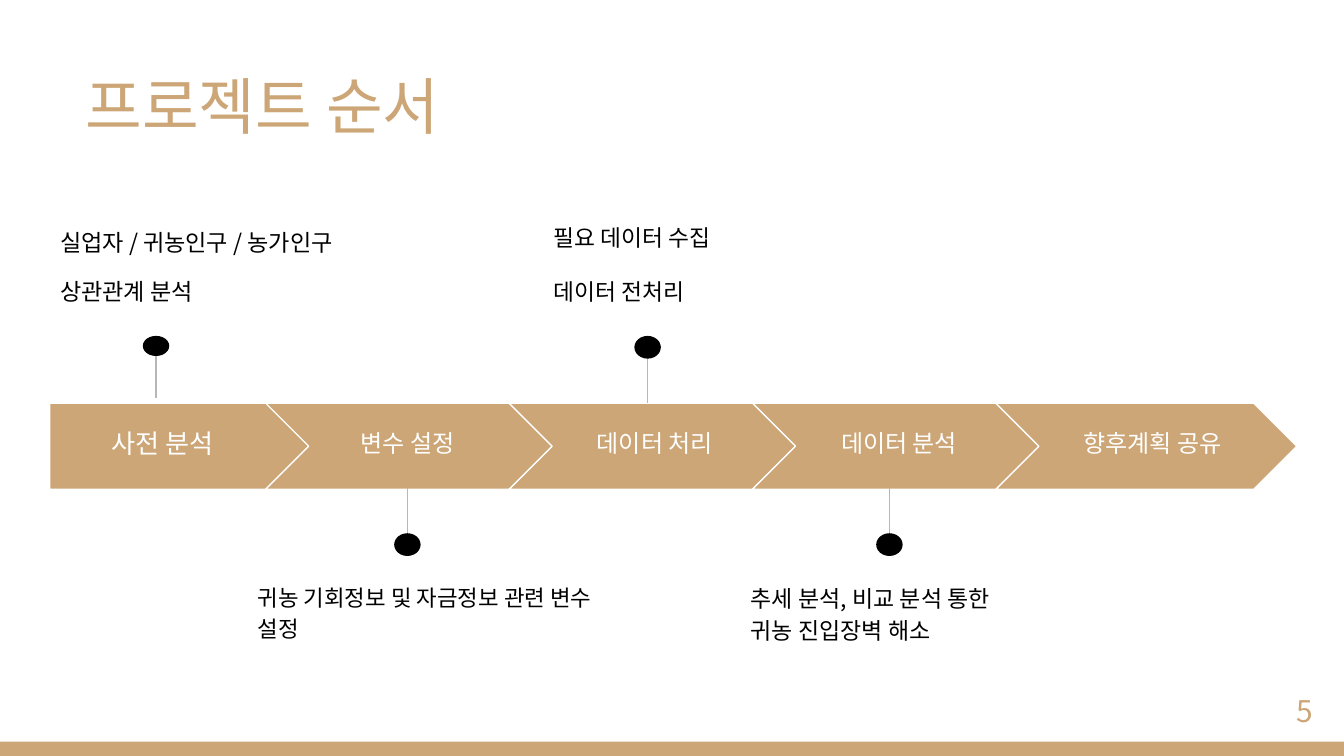
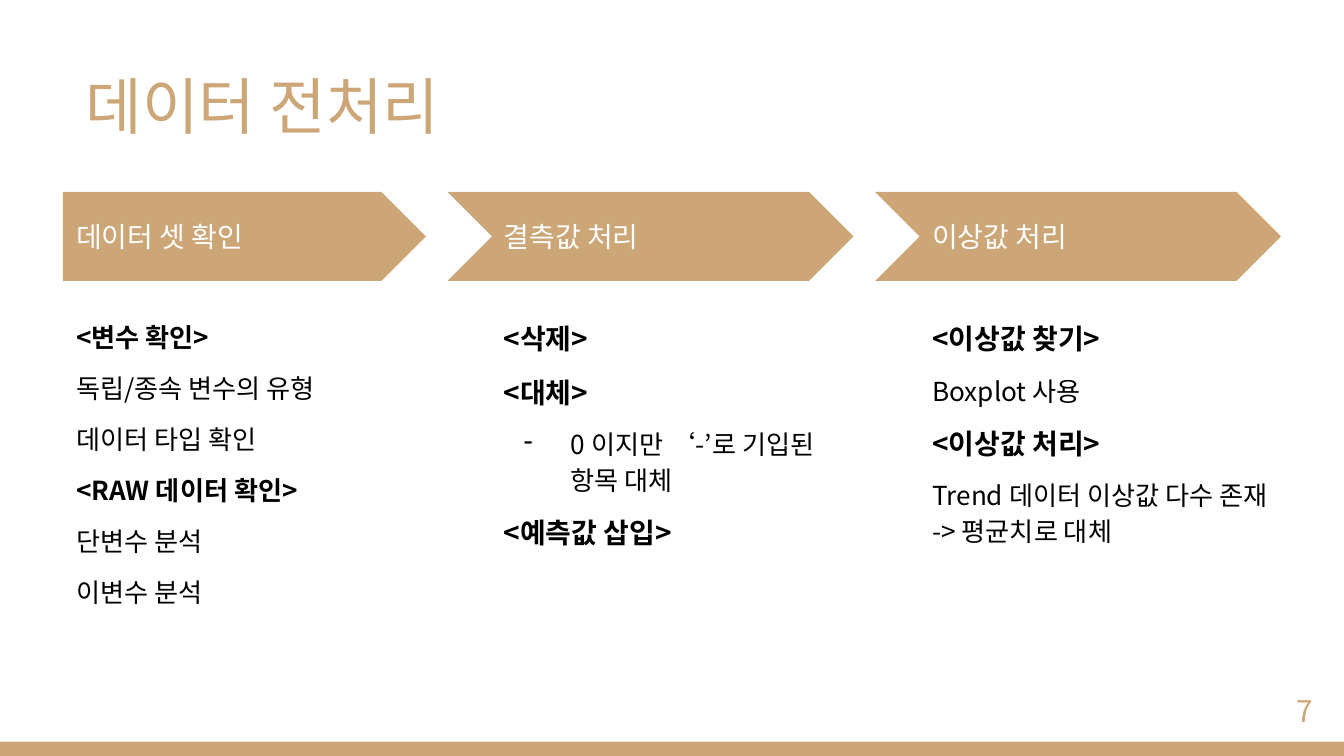
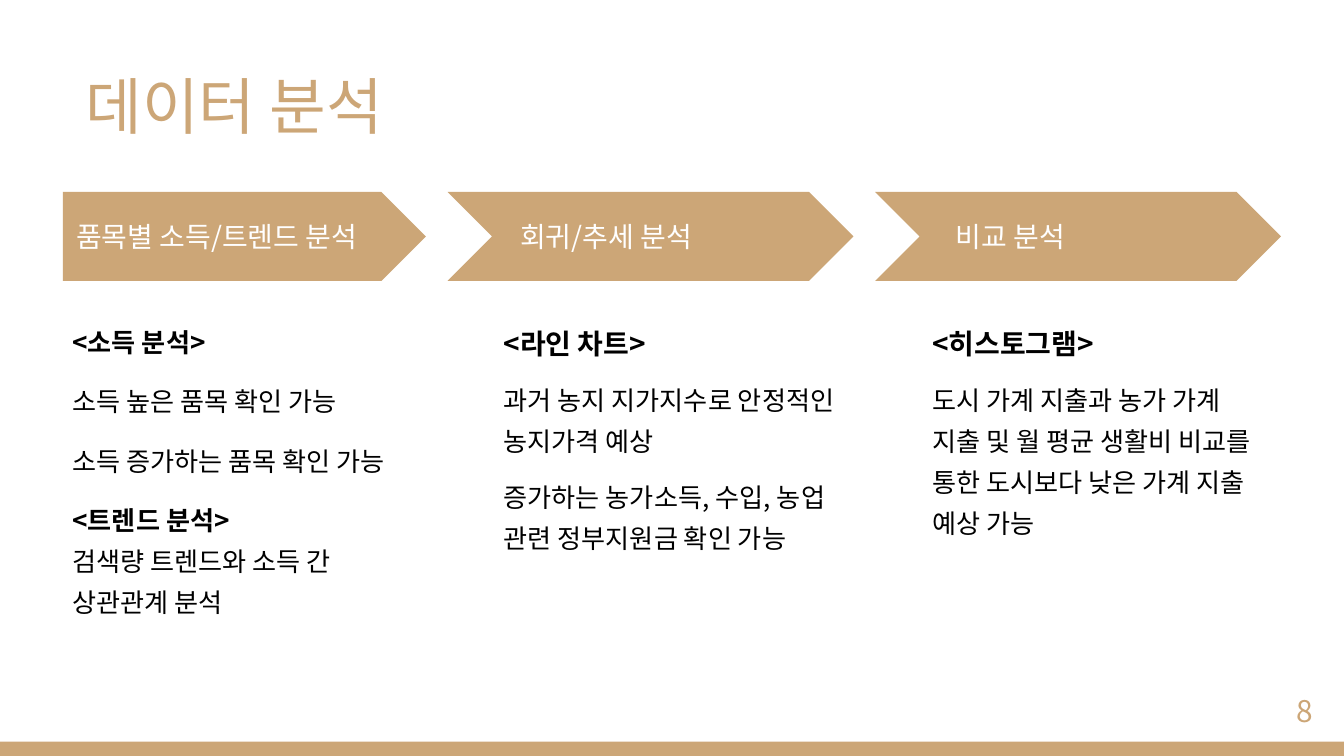
from copy import deepcopy
from dataclasses import dataclass

from lxml.etree import SubElement
from pptx import Presentation
from pptx.dml.color import RGBColor
from pptx.enum.shapes import MSO_CONNECTOR, MSO_SHAPE
from pptx.enum.text import MSO_ANCHOR, PP_ALIGN
from pptx.oxml.ns import qn
from pptx.util import Cm, Pt


@dataclass(frozen=True)
class Theme:
    font: str = "Noto Sans CJK KR"
    gold: str = "CCA677"
    ink: str = "000000"
    paper: str = "FFFFFF"
    rule: str = "B7B7B7"
    title: float = 33
    number: float = 16
    head: float = 15
    body: float = 14
    step: float = 12.9
    hair: float = 0.75
    inset: float = 0.25


WIDE, HIGH = 25.4, 14.29


class Deck:
    def __init__(self, theme):
        self.theme = theme
        self.file = Presentation()
        self.file.slide_width, self.file.slide_height = Cm(WIDE), Cm(HIGH)
        self.slide = None

    def page(self, title, number):
        theme = self.theme
        self.slide = self.file.slides.add_slide(self.file.slide_layouts[6])
        self.shape(MSO_SHAPE.RECTANGLE, (0, 14.02, WIDE, 0.27), theme.gold)
        self.text((1.37, 0.84, 10.49, 2.29), [title], size=theme.title,
                  color=theme.gold, anchor=MSO_ANCHOR.MIDDLE)
        self.text((23.55, 12.95, 1.52, 1.09), [str(number)], size=theme.number,
                  color=theme.gold, anchor=MSO_ANCHOR.MIDDLE,
                  align=PP_ALIGN.RIGHT, line=0.8)

    def shape(self, kind, box, fill, edge=None, group=None):
        shape = (group or self.slide).shapes.add_shape(kind, *map(Cm, box))
        shape.shadow.inherit = False
        shape.fill.solid()
        shape.fill.fore_color.rgb = RGBColor.from_string(fill)
        if edge:
            shape.line.color.rgb = RGBColor.from_string(edge)
            shape.line.width = Pt(self.theme.hair)
        else:
            shape.line.fill.background()

    def line(self, start, end, group):
        line = group.shapes.add_connector(MSO_CONNECTOR.STRAIGHT,
                                          *map(Cm, start + end))
        line.line.color.rgb = RGBColor.from_string(self.theme.rule)
        line.line.width = Pt(self.theme.hair)
        SubElement(line._element.spPr, qn("a:effectLst"))

    def pin(self, x, tip, top, base, high):
        """Draw a dot with its top at `top` and a stem from `tip` to `base`."""
        group = self.slide.shapes.add_group_shape()
        self.line((x, tip), (x, base), group)
        self.shape(MSO_SHAPE.OVAL, (x - 0.25, top, 0.5, high),
                   self.theme.ink, group=group)

    def text(self, box, lines, size, color=None, head=None, align=PP_ALIGN.LEFT,
             anchor=MSO_ANCHOR.TOP, line=1.0, gap=0):
        """Write paragraphs; "<" opens a bold head, "- " a bullet, "\\n" breaks."""
        frame = self.slide.shapes.add_textbox(*map(Cm, box)).text_frame
        frame.word_wrap = True
        frame.vertical_anchor = anchor
        frame.margin_left = frame.margin_right = Cm(self.theme.inset)
        frame.margin_top = frame.margin_bottom = Cm(self.theme.inset)
        for index, words in enumerate(lines):
            para = frame.paragraphs[0] if index == 0 else frame.add_paragraph()
            para.alignment = align
            para.line_spacing = line
            para.space_before = Pt(gap if index else 0)
            para.space_after = Pt(gap if index == len(lines) - 1 else 0)
            if words.startswith("- "):
                words = words[2:]
                self.bullet(para)
            for turn, part in enumerate(words.split("\n")):
                if turn:
                    para.add_line_break()
                bold = part.startswith("<")
                run = self.run(para, part, head if bold and head else size,
                               color or self.theme.ink, bold)
            for stop in para._p.findall(qn("a:br")):
                stop.append(deepcopy(run._r.rPr))

    def run(self, para, words, size, color, bold):
        run = para.add_run()
        run.text = words
        font = run.font
        font.name, font.size, font.bold = self.theme.font, Pt(size), bold
        font.color.rgb = RGBColor.from_string(color)
        SubElement(run._r.rPr, qn("a:ea"), typeface=self.theme.font)
        return run

    def bullet(self, para):
        props = para._p.get_or_add_pPr()
        props.set("marL", str(Cm(1.27)))
        props.set("indent", str(Cm(-0.89)))
        tint = SubElement(props, qn("a:buClr"))
        SubElement(tint, qn("a:srgbClr"), val=self.theme.ink)
        SubElement(props, qn("a:buChar"), char="-")

    def arrow(self, index, box, edge=None):
        kind = MSO_SHAPE.CHEVRON if index else MSO_SHAPE.PENTAGON
        self.shape(kind, box, self.theme.gold, edge)

    def label(self, box, words, size, **form):
        self.text(box, [words], size=size, color=self.theme.paper,
                  anchor=MSO_ANCHOR.MIDDLE, **form)


def draw_steps(deck):
    theme = deck.theme
    deck.page("프로젝트 순서", 5)
    steps = [("사전 분석", 0.94, 4.27), ("변수 설정", 5.49, 4.42),
             ("데이터 처리", 9.91, 4.93), ("데이터 분석", 14.53, 4.93),
             ("향후계획 공유", 19.43, 4.7)]
    for index, (words, left, wide) in enumerate(steps):
        box = (0.42 + 4.6 * index, 7.62, 5.69, 1.63)
        if index == 0:
            box = (0.94, 7.62, 5.18, 1.63)
        deck.arrow(index, box, theme.paper)
        deck.label((left, 7.92, wide, 1.02), words,
                   theme.step if index else theme.body,
                   align=PP_ALIGN.CENTER, line=0.8)
    deck.pin(2.95, 6.43, 6.35, 7.52, 0.38)
    deck.pin(12.24, 6.43, 6.35, 7.62, 0.43)
    for x in (7.7, 16.81):
        deck.pin(x, 10.41, 10.08, 9.22, 0.43)
    notes = [
        ((0.89, 4.11, 6.83, 1.96), 12.4, 0.95,
         ["실업자 / 귀농인구 / 농가인구", "상관관계 분석"]),
        ((10.21, 3.91, 6.22, 1.96), 12.2, 1.15,
         ["필요 데이터 수집", "데이터 전처리"]),
        ((4.62, 10.72, 6.83, 1.96), 12, 1.15,
         ["귀농 기회정보 및 자금정보 관련 변수 설정"]),
        ((13.94, 10.72, 5.18, 2.59), 12.3, 1.15,
         ["추세 분석, 비교 분석 통한 귀농 진입장벽 해소"]),
    ]
    for box, size, line, lines in notes:
        deck.text(box, lines, size=size, line=line, gap=12)


def draw_columns(deck, title, number, line, columns):
    """Draw three arrows with a label each and a list below."""
    theme = deck.theme
    deck.page(title, number)
    for index, (words, start, left, gap, lines) in enumerate(columns):
        box = (0.38 + 8.08 * index, 3.63, 7.67, 1.68)
        if index == 0:
            box = (1.19, 3.63, 6.86, 1.68)
        deck.arrow(index, box)
        deck.label((start, 4.04, 6.71, 0.86), words, theme.head)
        deck.text((left, 5.74, 6.86, 7.37), lines, size=theme.body,
                  head=theme.head if index else theme.body, line=line, gap=gap)


CLEAN = [
    ("데이터 셋 확인", 1.19, 1.19, 8,
     ["<변수 확인>", "독립/종속 변수의 유형", "데이터 타입 확인",
      "<RAW 데이터 확인>", "단변수 분석", "이변수 분석"]),
    ("결측값 처리", 9.27, 9.27, 8,
     ["<삭제>", "<대체>", "- 0 이지만 ‘-’로 기입된 항목 대체", "<예측값 삽입>"]),
    ("이상값 처리", 17.37, 17.37, 8,
     ["<이상값 찾기>", "Boxplot 사용", "<이상값 처리>",
      "Trend 데이터 이상값 다수 존재 -> 평균치로 대체"]),
]

STUDY = [
    ("품목별 소득/트렌드 분석", 1.19, 1.12, 10,
     ["<소득 분석>", "소득 높은 품목 확인 가능", "소득 증가하는 품목 확인 가능",
      "<트렌드 분석>\n검색량 트렌드와 소득 간 상관관계 분석"]),
    ("회귀/추세 분석", 9.58, 9.27, 8,
     ["<라인 차트>", "과거 농지 지가지수로 안정적인 농지가격 예상",
      "증가하는 농가소득, 수입, 농업 관련 정부지원금 확인 가능"]),
    ("비교 분석", 17.81, 17.37, 8,
     ["<히스토그램>",
      "도시 가계 지출과 농가 가계 지출 및 월 평균 생활비 비교를 통한 "
      "도시보다 낮은 가계 지출 예상 가능"]),
]


def main():
    deck = Deck(Theme())
    draw_steps(deck)
    draw_columns(deck, "데이터 전처리", 7, 1.15, CLEAN)
    draw_columns(deck, "데이터 분석", 8, 1.3, STUDY)
    deck.file.save("out.pptx")


if __name__ == "__main__":
    main()
